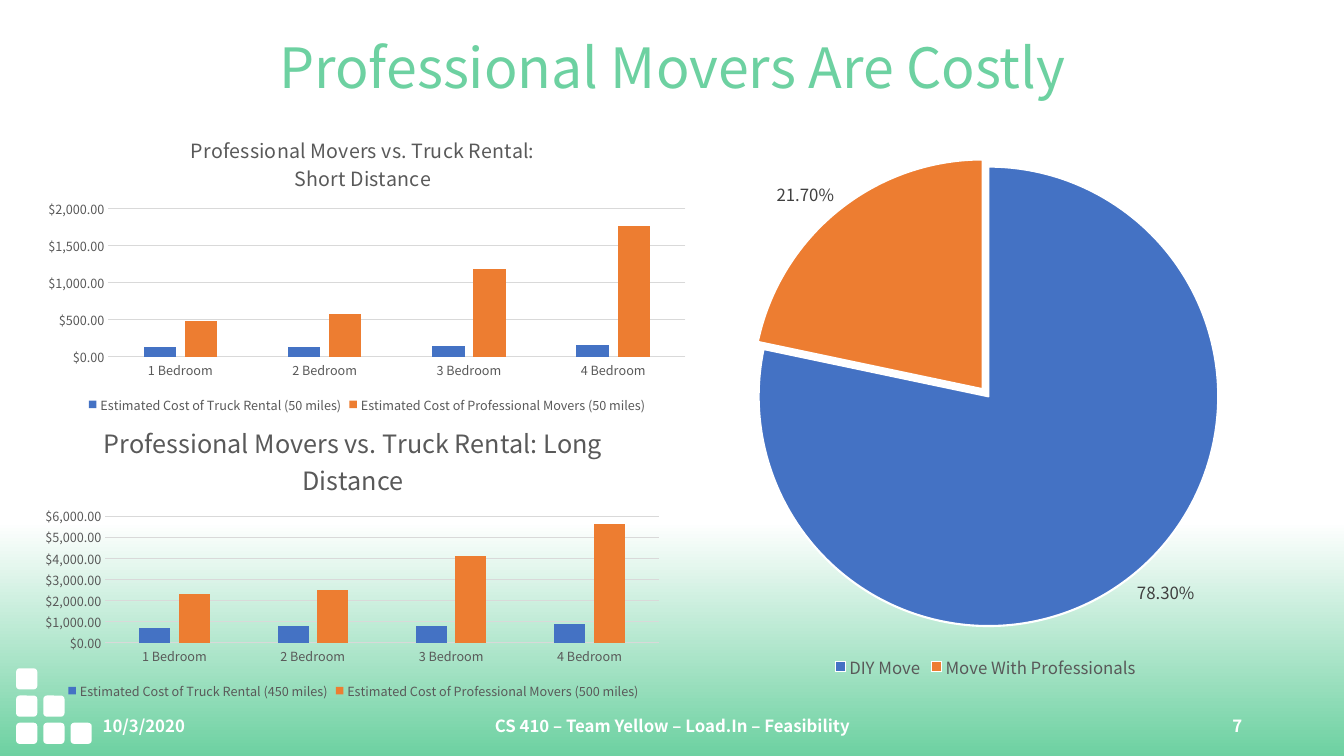
import pptx
import pptx.chart.data
import pptx.dml.color
import pptx.enum.chart
import pptx.enum.shapes
import pptx.enum.text
import pptx.oxml
import pptx.oxml.ns
import pptx.util

RGB = pptx.dml.color.RGBColor
GREEN = RGB(0x6D, 0xD1, 0xA1)
WHITE = RGB(0xFF, 0xFF, 0xFF)
BLUE = RGB(0x44, 0x72, 0xC4)
ORANGE = RGB(0xED, 0x7D, 0x31)
GRAY = RGB(0x59, 0x59, 0x59)
DARK = RGB(0x40, 0x40, 0x40)
RULE = RGB(0xD9, 0xD9, 0xD9)

XL = pptx.enum.chart
ALIGN = pptx.enum.text.PP_ALIGN
DOLLARS = '"$"#,##0.00'


class SlideBuilder:
    FONT = "Noto Sans CJK KR"
    PX = 9144  # 100 px to the inch

    def __init__(self, prs):
        self.slide = prs.slides.add_slide(prs.slide_layouts[6])

    def box(self, *px):
        return [v * self.PX for v in px]

    def style(self, font, size, color, bold=False):
        font.name = self.FONT
        font.size = pptx.util.Pt(size)
        font.color.rgb = color
        font.bold = bold

    def background(self, bottom, top, reach):
        fill = self.slide.background.fill
        fill.gradient()
        fill.gradient_angle = 90
        for stop, color, pos in zip(fill.gradient_stops, (bottom, top), (0, reach)):
            stop.color.rgb = color
            stop.position = pos

    def block(self, x, y, size):
        sp = self.slide.shapes.add_shape(
            pptx.enum.shapes.MSO_SHAPE.ROUNDED_RECTANGLE, *self.box(x, y, size, size))
        sp.shadow.inherit = False
        sp.fill.solid()
        sp.fill.fore_color.rgb = WHITE
        sp.line.fill.background()

    def text(self, text, x, y, w, h, size, color, align, bold=False, spacing=1.0):
        tf = self.slide.shapes.add_textbox(*self.box(x, y, w, h)).text_frame
        tf.word_wrap = True
        tf.vertical_anchor = pptx.enum.text.MSO_ANCHOR.MIDDLE
        tf.text = text
        p = tf.paragraphs[0]
        p.alignment = align
        p.line_spacing = spacing
        self.style(p.runs[0].font, size, color, bold)

    def place(self, parent, index, target, **fractions):
        """Give a chart part a manual layout, as fractions of the chart."""
        for old in parent.findall(pptx.oxml.ns.qn("c:layout")):
            parent.remove(old)
        modes = "".join(f'<c:{k}Mode val="edge"/>' for k in "xy")
        sizes = "".join(f'<c:{k} val="{v}"/>' for k, v in fractions.items())
        parent.insert(index, pptx.oxml.parse_xml(
            f'<c:layout {pptx.oxml.ns.nsdecls("c")}><c:manualLayout>'
            f'{target}{modes}{sizes}</c:manualLayout></c:layout>'))

    def chart(self, kind, cats, series, frame, plot, fmt, legend_size):
        data = pptx.chart.data.CategoryChartData(number_format=fmt)
        data.categories = cats
        for name, values in series:
            data.add_series(name, values)
        chart = self.slide.shapes.add_chart(kind, *self.box(*frame), data).chart
        self.style(chart.font, 10, GRAY)
        chart.has_title = False
        chart.has_legend = True
        chart.legend.position = XL.XL_LEGEND_POSITION.BOTTOM
        chart.legend.include_in_layout = False
        self.style(chart.legend.font, legend_size, GRAY)
        area = chart._chartSpace.xpath("c:chart/c:plotArea")[0]
        self.place(area, 0, '<c:layoutTarget val="inner"/>',
                   **dict(zip("xywh", plot)))
        return chart

    def columns(self, title, title_size, title_at, cats, series, frame, plot, top, step):
        chart = self.chart(XL.XL_CHART_TYPE.COLUMN_CLUSTERED, cats, series,
                           frame, plot, DOLLARS, 9)
        chart.has_title = True
        tf = chart.chart_title.text_frame
        tf.text = title
        for p in tf.paragraphs:
            self.style(p.runs[0].font, title_size, GRAY)
        self.place(chart._chartSpace.xpath("c:chart/c:title")[0], 1, "",
                   **dict(zip("xy", title_at)))

        bars = chart.plots[0]
        bars.vary_by_categories = False
        bars.gap_width = 219
        bars.overlap = -27
        for s, color in zip(bars.series, (BLUE, ORANGE)):
            s.format.fill.solid()
            s.format.fill.fore_color.rgb = color

        for axis in (chart.category_axis, chart.value_axis):
            axis.major_tick_mark = axis.minor_tick_mark = XL.XL_TICK_MARK.NONE
            self.style(axis.tick_labels.font, 9, GRAY)
        values = chart.value_axis
        values.minimum_scale, values.maximum_scale, values.major_unit = 0, top, step
        values.tick_labels.number_format = DOLLARS
        values.tick_labels.number_format_is_linked = False
        values.format.line.fill.background()
        for part in (chart.category_axis, values.major_gridlines):
            part.format.line.color.rgb = RULE
            part.format.line.width = pptx.util.Pt(0.75)

    def pie(self, cats, series, frame, plot, explosion):
        chart = self.chart(XL.XL_CHART_TYPE.PIE, cats, series, frame, plot, "0.00%", 12)
        pie = chart.plots[0]
        pie.vary_by_categories = True
        s = pie.series[0]
        for i, color in enumerate((BLUE, ORANGE)):
            fmt = s.points[i].format
            fmt.fill.solid()
            fmt.fill.fore_color.rgb = color
            fmt.line.color.rgb = WHITE
            fmt.line.width = pptx.util.Pt(1.5)
        s._element.xpath("c:dPt")[0].addprevious(pptx.oxml.parse_xml(
            f'<c:explosion {pptx.oxml.ns.nsdecls("c")} val="{explosion}"/>'))
        labels = s.data_labels
        labels.show_value = True
        labels.show_percentage = False
        labels.number_format = "0.00%"
        labels.number_format_is_linked = False
        labels.position = XL.XL_LABEL_POSITION.OUTSIDE_END
        self.style(labels.font, 12, DARK)


def main():
    prs = pptx.Presentation()
    prs.slide_width = 1333 * SlideBuilder.PX
    prs.slide_height = 750 * SlideBuilder.PX
    s = SlideBuilder(prs)

    # Background and staircase of blocks
    s.background(GREEN, WHITE, 0.31)
    for col, height in enumerate((3, 2, 1)):
        for row in range(height):
            s.block(16 + 27 * col, 717 - 27 * row, 21)

    # Title and footer
    s.text("Professional Movers Are Costly", 92, 40, 1150, 59, 39.6, GREEN,
           ALIGN.CENTER, spacing=0.9)
    for text, x, w, align in (
            ("10/3/2020", 92, 300, ALIGN.LEFT),
            ("CS 410 – Team Yellow – Load.In – Feasibility", 442, 450, ALIGN.CENTER),
            ("7", 942, 300, ALIGN.RIGHT)):
        s.text(text, x, 690, w, 60, 12, WHITE, align, bold=True)

    # Cost comparisons
    bedrooms = [f"{n} Bedroom" for n in range(1, 5)]
    s.columns("Professional Movers vs. Truck Rental:\nShort Distance", 14, (0.23, 0.05),
              bedrooms,
              [("Estimated Cost of Truck Rental (50 miles)", (130, 130, 140, 160)),
               ("Estimated Cost of Professional Movers (50 miles)", (480, 580, 1180, 1770))],
              (35, 114, 658, 300), (0.11, 0.31, 0.87, 0.49), 2000, 500)
    s.columns("Professional Movers vs. Truck Rental: Long Distance", 18, (0.1, 0.05),
              bedrooms,
              [("Estimated Cost of Truck Rental (450 miles)", (700, 800, 800, 900)),
               ("Estimated Cost of Professional Movers (500 miles)", (2300, 2500, 4100, 5600))],
              (35, 398, 631, 300), (0.11, 0.38, 0.87, 0.42), 6000, 1000)

    # Share of moves
    s.pie(["DIY Move", "Move With Professionals"], [("Series 1", (0.783, 0.217))],
          (694, 134, 567, 544), (0.09, 0.04, 0.82, 0.86), 2)

    prs.save("out.pptx")


if __name__ == "__main__":
    main()
